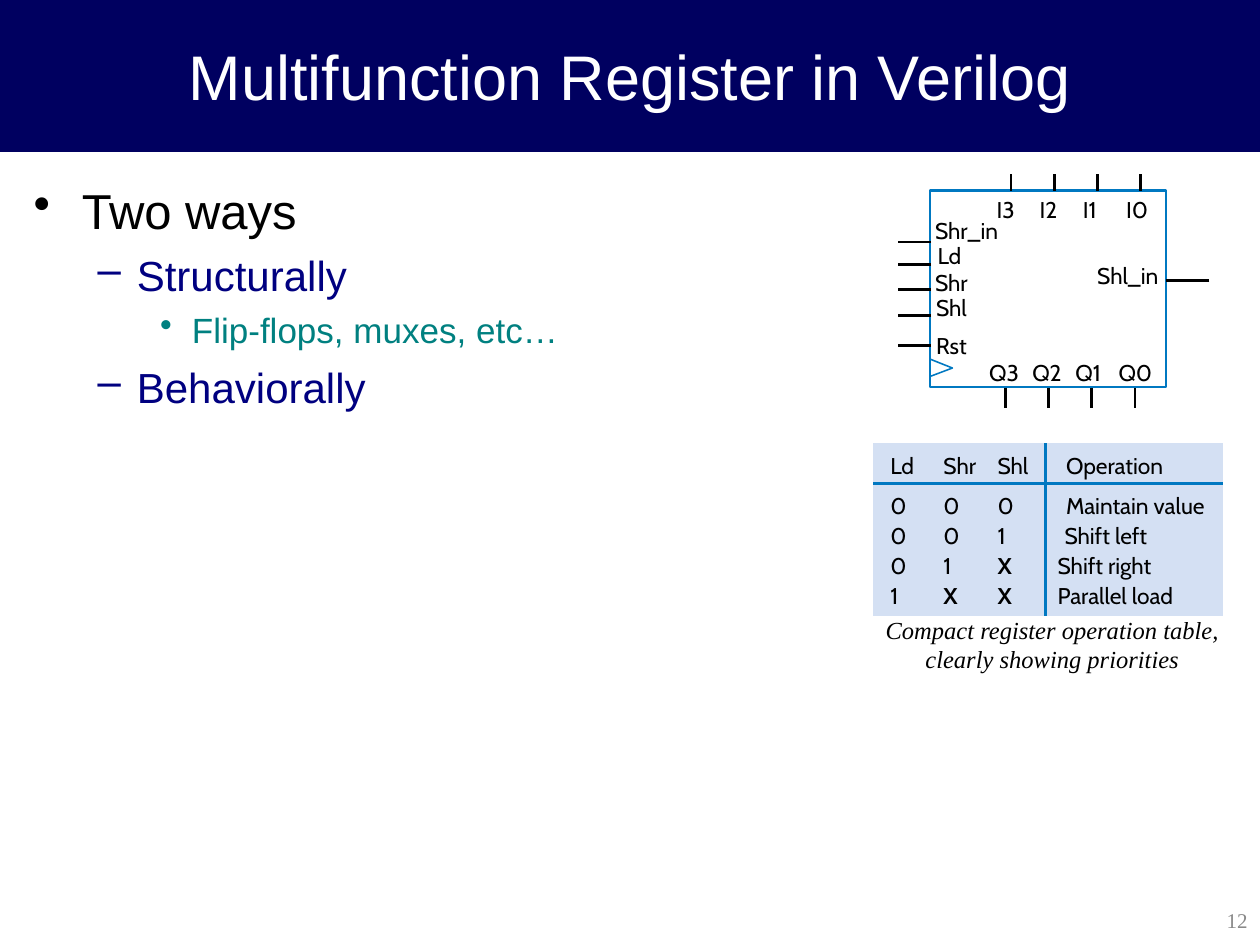
from lxml.etree import SubElement
from pptx import Presentation
from pptx.dml.color import RGBColor
from pptx.enum.shapes import MSO_CONNECTOR, MSO_SHAPE
from pptx.enum.text import MSO_ANCHOR, PP_ALIGN
from pptx.oxml.ns import qn
from pptx.util import Cm, Pt

COLORS = {
    "black": "000000",
    "white": "FFFFFF",
    "title_bar": "000060",
    "navy": "000080",
    "teal": "008080",
    "gray": "898989",
    "blue": "0078C1",
    "table": "D4E0F3",
}
LABEL_FONT = {"name": "Cabin", "size": Pt(13)}
NO_MARGINS = {f"margin_{side}": 0 for side in ("left", "right", "top", "bottom")}
NO_TABLE_STYLE = "{2D5ABB26-0587-4C30-8999-92F81FD0307C}"


def write_text(text_frame, lines, font, color="black", frame=None, alignment=PP_ALIGN.LEFT):
    for name, value in (frame or {}).items():
        setattr(text_frame, name, value)
    for index, line in enumerate(lines):
        paragraph = text_frame.add_paragraph() if index else text_frame.paragraphs[0]
        paragraph.alignment = alignment
        run = paragraph.add_run()
        run.text = line
        run.font.color.rgb = RGBColor.from_string(COLORS[color])
        for name, value in font.items():
            setattr(run.font, name, value)


def add_line(start_x, start_y, end_x, end_y):
    line = slide.shapes.add_connector(
        MSO_CONNECTOR.STRAIGHT, Cm(start_x), Cm(start_y), Cm(end_x), Cm(end_y)
    )
    line.line.color.rgb = RGBColor.from_string(COLORS["black"])
    line.line.width = Pt(1.62)
    SubElement(line._element.spPr, qn("a:effectLst"))


presentation = Presentation()
presentation.slide_width = Cm(25.4)
presentation.slide_height = Cm(19.05)
slide = presentation.slides.add_slide(presentation.slide_layouts[6])

title_bar = slide.shapes.add_shape(MSO_SHAPE.RECTANGLE, 0, 0, Cm(25.4), Cm(3.05))
title_bar.shadow.inherit = False
title_bar.fill.solid()
title_bar.fill.fore_color.rgb = RGBColor.from_string(COLORS["title_bar"])
title_bar.line.color.rgb = RGBColor.from_string(COLORS["title_bar"])
write_text(
    title_bar.text_frame, ["Multifunction Register in Verilog"],
    {"name": "Arial", "size": Pt(36)}, "white",
    {"vertical_anchor": MSO_ANCHOR.MIDDLE}, PP_ALIGN.CENTER,
)

outline = [
    ("Two ways", 0, 28, "black", "•", 0.97, 0.97, 0),
    ("Structurally", 1, 24, "navy", "–", 2.08, 0.79, 6),
    ("Flip-flops, muxes, etc…", 2, 20, "teal", "•", 3.19, 0.64, 5),
    ("Behaviorally", 1, 24, "navy", "–", 2.08, 0.79, 6),
]
body = slide.shapes.add_textbox(Cm(0.43), Cm(3.51), Cm(24.54), Cm(14.53)).text_frame
body.word_wrap = True
body.margin_top = Cm(0.12)
for index, (text, level, size, color, bullet, indent, hanging, space) in enumerate(outline):
    paragraph = body.add_paragraph() if index else body.paragraphs[0]
    paragraph.level = level
    properties = paragraph._p.get_or_add_pPr()
    properties.set("marL", str(Cm(indent)))
    properties.set("indent", str(-Cm(hanging)))
    bullet_color = SubElement(properties, qn("a:buClr"))
    SubElement(bullet_color, qn("a:srgbClr"), val=COLORS[color])
    SubElement(properties, qn("a:buChar"), char=bullet)
    paragraph.space_before = Pt(space)
    paragraph.font.size = Pt(size)
    run = paragraph.add_run()
    run.text = text
    run.font.name = "Arial"
    run.font.size = Pt(size)
    run.font.color.rgb = RGBColor.from_string(COLORS[color])

register = slide.shapes.add_shape(
    MSO_SHAPE.RECTANGLE, Cm(18.75), Cm(3.84), Cm(4.75), Cm(3.96)
)
clock_builder = slide.shapes.build_freeform(Cm(18.75), Cm(7.59))
clock_builder.add_line_segments([(Cm(19.2), Cm(7.42)), (Cm(18.75), Cm(7.24))], close=False)
clock = clock_builder.convert_to_shape()
for shape, width in ((register, 1.25), (clock, 0.88)):
    shape.shadow.inherit = False
    shape.fill.background()
    shape.line.color.rgb = RGBColor.from_string(COLORS["blue"])
    shape.line.width = Pt(width)

labels = [
    ("Shr_in", 18.85, 4.37),
    ("Ld", 18.9, 4.88),
    ("Shr", 18.85, 5.41),
    ("Shl", 18.87, 5.92),
    ("Rst", 18.87, 6.68),
    ("Shl_in", 22.12, 5.28),
]
for column, bit in enumerate((3, 2, 1, 0)):
    offset = 0.87 * column
    labels.append((f"I{bit}", 20.09 + offset, 3.94))
    labels.append((f"Q{bit}", 19.94 + offset, 7.24))
    add_line(20.38 + offset, 3.51, 20.38 + offset, 3.86)
    add_line(20.27 + offset, 7.82, 20.27 + offset, 8.23)
for pin_y in (4.88, 5.33, 5.84, 6.36, 6.96):
    add_line(18.77, pin_y, 18.11, pin_y)
add_line(24.38, 5.66, 23.5, 5.66)
for text, left, top in labels:
    label = slide.shapes.add_textbox(Cm(left), Cm(top), Cm(0.2 * len(text) + 0.4), Cm(0.56))
    write_text(label.text_frame, [text], LABEL_FONT, frame={**NO_MARGINS, "word_wrap": True})

operations = [
    ("Ld", "Shr", "Shl", "Operation"),
    ("0", "0", "0", "Maintain value"),
    ("0", "0", "1", "Shift left"),
    ("0", "1", "X", "Shift right"),
    ("1", "X", "X", "Parallel load"),
]
operation_indents = (0.41, 0.41, 0.38, 0.24, 0.24)
table_frame = slide.shapes.add_table(5, 4, Cm(17.6), Cm(8.94), Cm(7.06), Cm(3.45))
table = table_frame.table
table.first_row = table.horz_banding = False
for style in table_frame._element.iter(qn("a:tableStyleId")):
    style.text = NO_TABLE_STYLE
for column, width in zip(table.columns, (1.07, 1.09, 1.32, 3.58)):
    column.width = Cm(width)
for row, height in zip(table.rows, (0.81, 0.71, 0.61, 0.61, 0.71)):
    row.height = Cm(height)
for row_index, values in enumerate(operations):
    for column_index, value in enumerate(values):
        cell = table.cell(row_index, column_index)
        cell_format = {
            **NO_MARGINS,
            "margin_left": Cm(operation_indents[row_index] if column_index == 3 else 0.35),
            "margin_top": Cm(0.18 if row_index < 2 else 0.05),
        }
        for name, setting in cell_format.items():
            setattr(cell, name, setting)
        cell_properties = cell._tc.get_or_add_tcPr()
        for edge, shown in (("a:lnR", column_index == 2), ("a:lnB", row_index == 0)):
            if shown:
                border = SubElement(cell_properties, qn(edge), w=str(Pt(1.62)))
                border_fill = SubElement(border, qn("a:solidFill"))
                SubElement(border_fill, qn("a:srgbClr"), val=COLORS["blue"])
        cell.fill.solid()
        cell.fill.fore_color.rgb = RGBColor.from_string(COLORS["table"])
        write_text(cell.text_frame, [value], {**LABEL_FONT, "bold": value == "X"})

caption = slide.shapes.add_textbox(Cm(17.53), Cm(12.27), Cm(7.37), Cm(1.45))
write_text(
    caption.text_frame,
    ["Compact register operation table,", "clearly showing priorities"],
    {"name": "Times New Roman", "size": Pt(14), "italic": True},
    frame={"word_wrap": False}, alignment=PP_ALIGN.CENTER,
)

page_number = slide.shapes.add_textbox(Cm(20.02), Cm(18.03), Cm(5.38), Cm(1.02))
write_text(
    page_number.text_frame, ["12"], {"name": "Times New Roman", "size": Pt(12)}, "gray",
    {"word_wrap": True, "vertical_anchor": MSO_ANCHOR.MIDDLE}, PP_ALIGN.RIGHT,
)

presentation.save("out.pptx")
